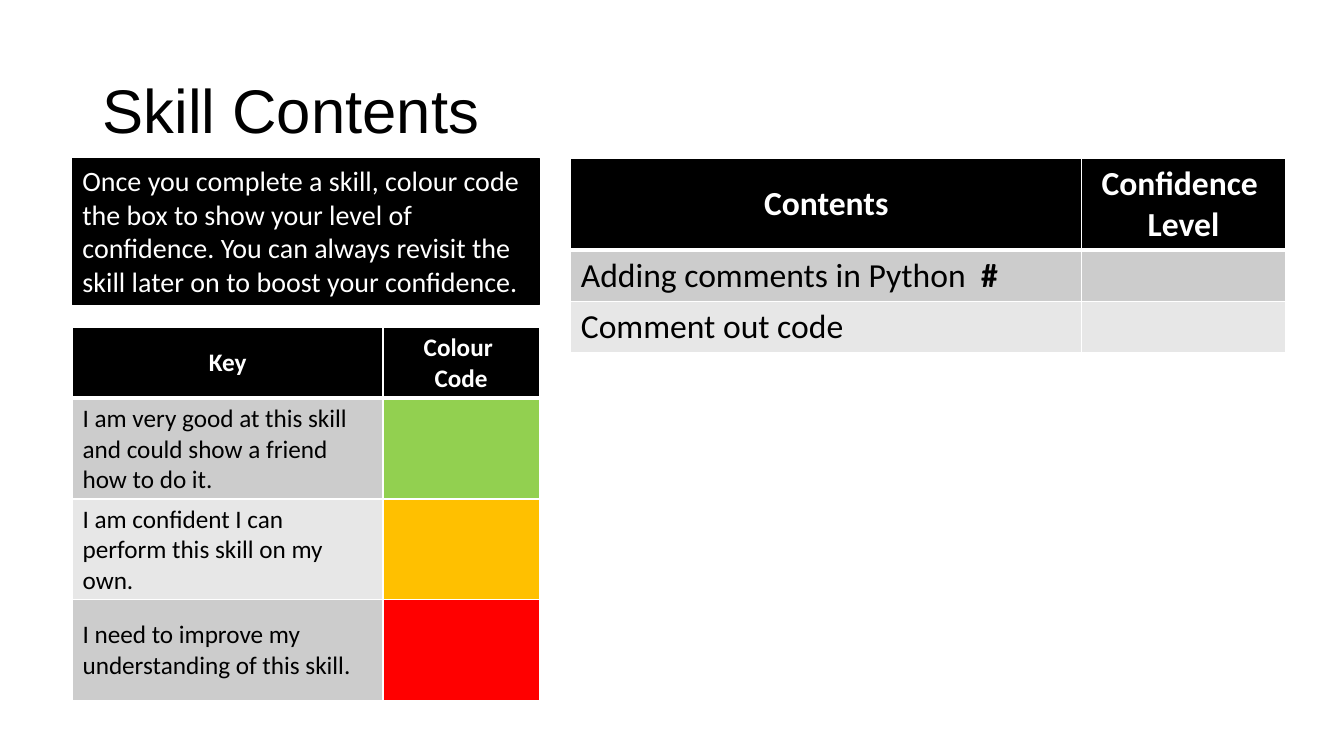
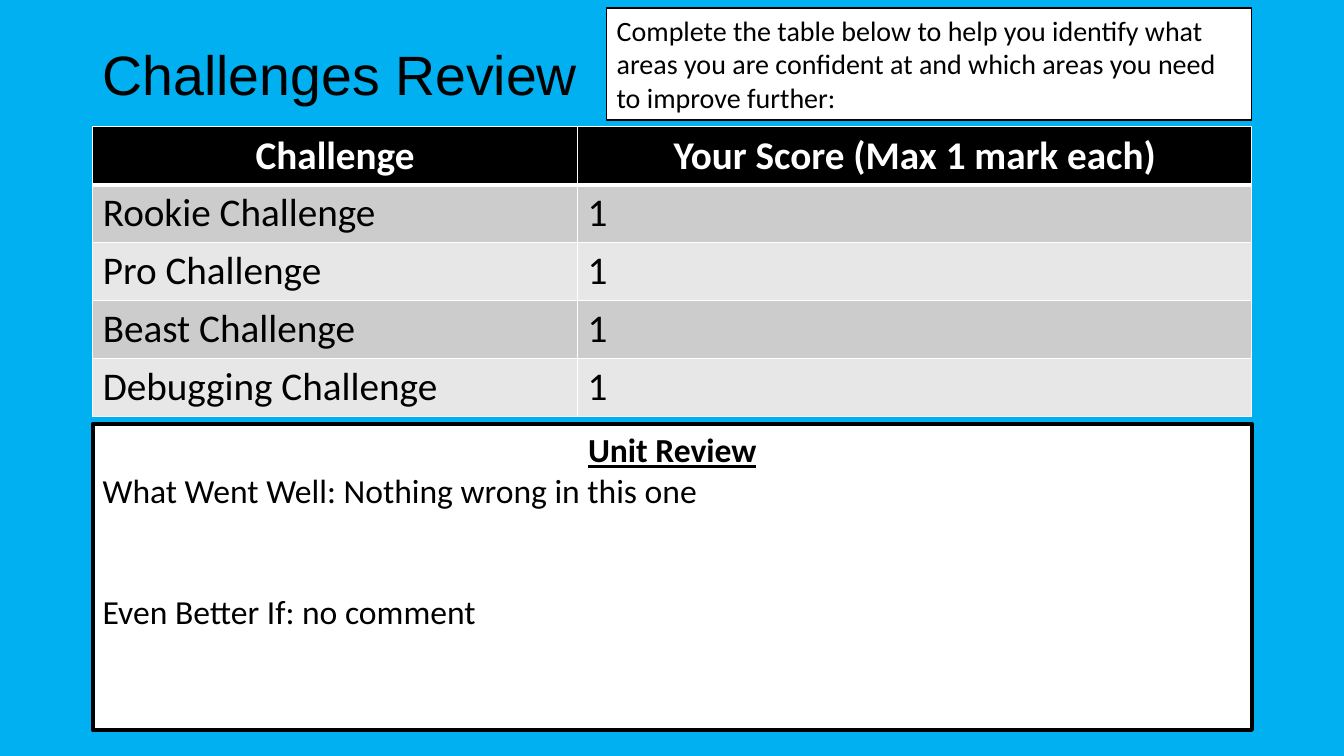
from dataclasses import dataclass

from lxml import etree
from pptx import Presentation
from pptx.dml import color
from pptx.enum import shapes, text
from pptx.oxml import ns
from pptx.util import Pt

BLACK, WHITE, SKY = "000000", "FFFFFF", "00B0F0"
BANDS = ("CCCCCC", "E7E7E7")
GREEN, AMBER, RED = "92D050", "FFC000", "FF0000"
MIDDLE = text.MSO_ANCHOR.MIDDLE
TOP = text.MSO_ANCHOR.TOP


@dataclass(frozen=True)
class Span:
    words: str
    bold: bool = False
    underline: bool = False


@dataclass(frozen=True)
class Line:
    spans: tuple[Span, ...]
    centered: bool = False
    before: float = 0
    spacing: float = 1


@dataclass(frozen=True)
class Area:
    left: float
    top: float
    width: float
    height: float

    def points(self) -> list:
        return [Pt(n) for n in (self.left, self.top, self.width, self.height)]


@dataclass(frozen=True)
class Cell:
    lines: tuple[Line, ...] = ()
    fill: str | None = None


@dataclass(frozen=True)
class Grid:
    left: float
    top: float
    columns: tuple[float, ...]
    header_height: float
    row_height: float
    size: float
    header: tuple[str, ...]
    rows: tuple[tuple[Cell, ...], ...]
    anchor: text.MSO_ANCHOR = TOP


def plain(words: str) -> Line:
    return Line((Span(words),))


def rgb(value: str) -> color.RGBColor:
    return color.RGBColor.from_string(value)


def fill_solid(fill, value: str) -> None:
    fill.solid()
    fill.fore_color.rgb = rgb(value)


def write(frame, lines, size: float, ink: str, font: str = "Calibri") -> None:
    for index, line in enumerate(lines):
        para = frame.paragraphs[0] if index == 0 else frame.add_paragraph()
        align = text.PP_ALIGN.CENTER if line.centered else text.PP_ALIGN.LEFT
        layout = {"alignment": align, "space_before": Pt(line.before),
                  "line_spacing": line.spacing}
        for name, value in layout.items():
            setattr(para, name, value)
        for span in line.spans:
            run = para.add_run()
            run.text = span.words
            style = {"name": font, "size": Pt(size), "bold": span.bold,
                     "underline": span.underline}
            for name, value in style.items():
                setattr(run.font, name, value)
            run.font.color.rgb = rgb(ink)


def add_title(page, area: Area, words: str, size: float) -> None:
    frame = page.shapes.add_textbox(*area.points()).text_frame
    frame.word_wrap = True
    frame.vertical_anchor = MIDDLE
    write(frame, [Line((Span(words),), spacing=0.9)], size, BLACK, "Arial")


def add_panel(page, area: Area, lines, size: float, fill: str, ink: str,
              border: float = 1) -> None:
    """Draw a black-edged rectangle with text from its top left."""
    box = page.shapes.add_shape(shapes.MSO_SHAPE.RECTANGLE, *area.points())
    box.shadow.inherit = False
    fill_solid(box.fill, fill)
    box.line.color.rgb = rgb(BLACK)
    box.line.width = Pt(border)
    box.text_frame.word_wrap = True
    box.text_frame.vertical_anchor = TOP
    write(box.text_frame, lines, size, ink)


def set_borders(cell, top: float, bottom: float) -> None:
    properties = cell._tc.get_or_add_tcPr()
    for side, width in (("L", 1), ("R", 1), ("T", top), ("B", bottom)):
        edge = etree.SubElement(properties, ns.qn(f"a:ln{side}"), w=str(Pt(width)))
        paint = etree.SubElement(edge, ns.qn("a:solidFill"))
        etree.SubElement(paint, ns.qn("a:srgbClr"), val=WHITE)


def add_grid(page, grid: Grid) -> None:
    heights = [grid.header_height] + [grid.row_height] * len(grid.rows)
    area = Area(grid.left, grid.top, sum(grid.columns), sum(heights))
    table = page.shapes.add_table(
        len(heights), len(grid.columns), *area.points()).table
    table.first_row = table.horz_banding = False
    for column, width in zip(table.columns, grid.columns):
        column.width = Pt(width)
    for row, height in zip(table.rows, heights):
        row.height = Pt(height)

    header = tuple(
        Cell(tuple(Line((Span(words, bold=True),), centered=True)
                   for words in label.split("\n")), BLACK)
        for label in grid.header)
    for r, entries in enumerate((header, *grid.rows)):
        for c, entry in enumerate(entries):
            cell = table.cell(r, c)
            set_borders(cell, 3 if r == 1 else 1, 3 if r == 0 else 1)
            fill_solid(cell.fill, entry.fill or BANDS[(r - 1) % 2])
            cell.vertical_anchor = grid.anchor if r else MIDDLE
            write(cell.text_frame, entry.lines, grid.size,
                  WHITE if r == 0 else BLACK)


def new_page(deck, background: str):
    page = deck.slides.add_slide(deck.slide_layouts[6])
    fill_solid(page.background.fill, background)
    return page


def add_contents_page(deck) -> None:
    page = new_page(deck, WHITE)
    add_title(page, Area(66.24, 28.8, 828, 104.4), "Skill Contents", 44)
    comments = Line((Span("Adding comments in Python  "), Span("#", bold=True)))
    add_grid(page, Grid(
        407.7, 113.2, (365, 145.4), 65.6, 36.4, 24,
        ("Contents", "Confidence \nLevel"),
        tuple((Cell((line,)), Cell())
              for line in (comments, plain("Comment out code")))))
    advice = ("Once you complete a skill, colour code the box to show your level "
              "of confidence. You can always revisit the skill later on to boost "
              "your confidence.")
    add_panel(page, Area(51.8, 113.2, 333.4, 104.4), [plain(advice)],
              20, BLACK, WHITE)
    levels = (
        ("I am very good at this skill and could show a friend how to do it.", GREEN),
        ("I am confident I can perform this skill on my own.", AMBER),
        ("I need to improve my understanding of this skill.", RED),
    )
    add_grid(page, Grid(
        51.8, 234, (221.8, 111.6), 50.4, 72, 18, ("Key", "Colour \nCode"),
        tuple((Cell((plain(words),)), Cell(fill=fill)) for words, fill in levels),
        MIDDLE))


def add_review_page(deck) -> None:
    page = new_page(deck, SKY)
    add_title(page, Area(66.24, 28.8, 828, 53.3), "Challenges Review", 39.6)
    challenges = ("Rookie", "Pro", "Beast", "Debugging")
    add_grid(page, Grid(
        66.24, 90.5, (346.3, 481.7), 41.4, 41.4, 28,
        ("Challenge", "Your Score (Max 1 mark each)"),
        tuple((Cell((plain(f"{name} Challenge"),)), Cell((plain("1"),)))
              for name in challenges)))
    review = [
        Line((Span("Unit Review", bold=True, underline=True),), centered=True),
        plain("What Went Well: Nothing wrong in this one"),
        Line((Span("Even Better If: no comment"),), before=57.6),
    ]
    add_panel(page, Area(66.24, 303.1, 828, 218.2), review, 24, WHITE, BLACK, 3)
    task = ("Complete the table below to help you identify what areas you are "
            "confident at and which areas you need to improve further:")
    add_panel(page, Area(433.4, 5.8, 460.8, 79.9), [plain(task)], 20, WHITE, BLACK)


def main() -> None:
    deck = Presentation()
    deck.slide_width, deck.slide_height = Pt(960), Pt(540)
    add_contents_page(deck)
    add_review_page(deck)
    deck.save("out.pptx")


if __name__ == "__main__":
    main()
